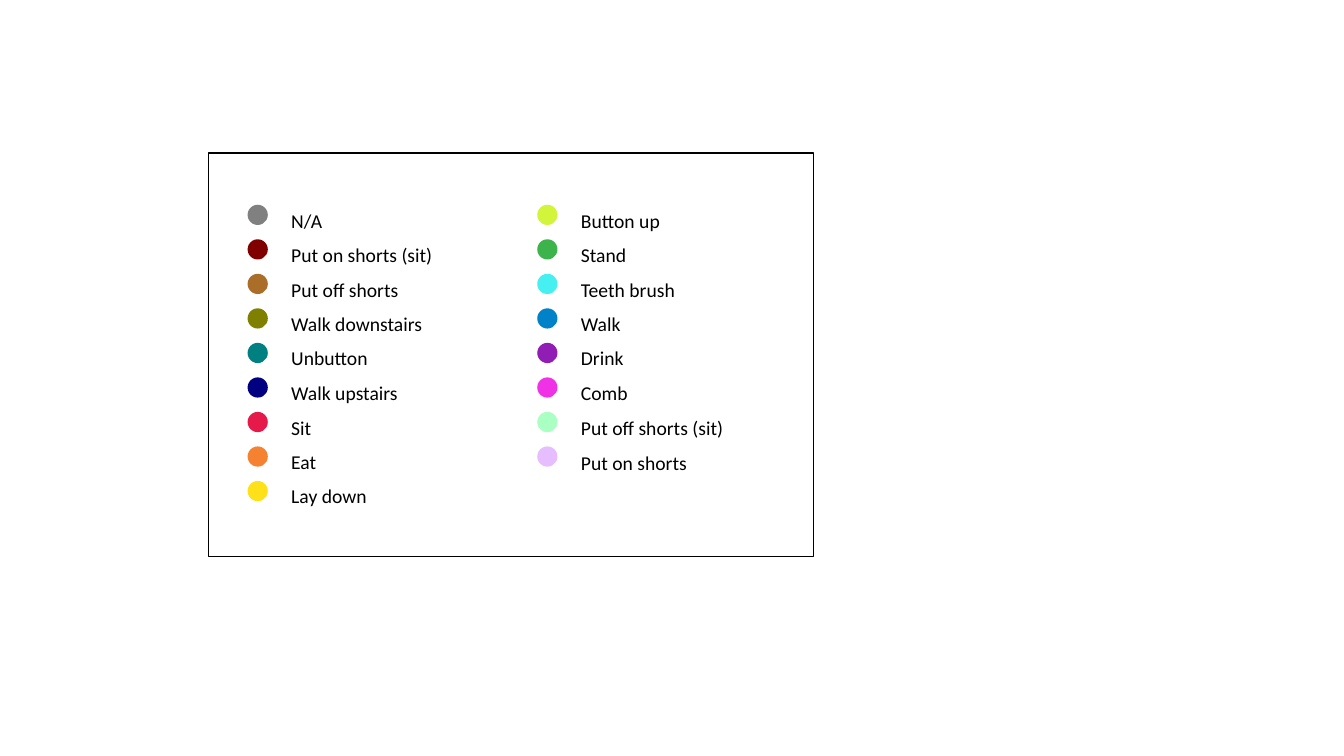
"""Build a slide with a two-column colour legend of daily activities."""
from dataclasses import dataclass

from pptx import Presentation
from pptx.dml.color import RGBColor
from pptx.enum.shapes import MSO_SHAPE
from pptx.enum.text import MSO_AUTO_SIZE
from pptx.util import Cm, Pt

RECTANGLE = MSO_SHAPE.RECTANGLE
OVAL = MSO_SHAPE.OVAL
FIT_SHAPE = MSO_AUTO_SIZE.SHAPE_TO_FIT_TEXT

LEGEND_COLUMNS = [
    [
        ("N/A", "808080"),
        ("Put on shorts (sit)", "800000"),
        ("Put off shorts", "AA6E28"),
        ("Walk downstairs", "808000"),
        ("Unbutton", "008080"),
        ("Walk upstairs", "000080"),
        ("Sit", "E6194B"),
        ("Eat", "F58230"),
        ("Lay down", "FFE119"),
    ],
    [
        ("Button up", "D2F53C"),
        ("Stand", "3CB44B"),
        ("Teeth brush", "46F0F0"),
        ("Walk", "0082C8"),
        ("Drink", "911EB4"),
        ("Comb", "F032E6"),
        ("Put off shorts (sit)", "AAFFC3"),
        ("Put on shorts", "E6BEFF"),
    ],
]
LOOSE_LABELS = {"Walk upstairs", "Sit", "Comb", "Put off shorts (sit)", "Put on shorts"}


@dataclass(frozen=True)
class Theme:
    font: str = "Calibri"
    text_size: float = 14
    line_spacing: float = 24.4
    loose_spacing: float = 25
    border_width: float = 1
    ink: str = "000000"
    paper: str = "FFFFFF"


THEME = Theme()
FRAME = (5.26, 3.86, 15.24, 10.16)
DOT_LEFT, DOT_TOP, DOT_SIZE = 6.24, 5.16, 0.51
ROW_PITCH, COLUMN_PITCH = 0.87, 7.3
LABEL_LEFT, LABEL_TOP, LABEL_WIDTH = 7.09, 4.88, 5.46


def add_filled_shape(slide, kind, box, color):
    shape = slide.shapes.add_shape(kind, *map(Cm, box))
    shape.shadow.inherit = False
    shape.fill.solid()
    shape.fill.fore_color.rgb = RGBColor.from_string(color)
    shape.line.fill.background()
    return shape


def add_frame(slide):
    frame = add_filled_shape(slide, RECTANGLE, FRAME, THEME.paper)
    frame.line.color.rgb = RGBColor.from_string(THEME.ink)
    frame.line.width = Pt(THEME.border_width)


def add_labels(slide, left, labels):
    height = ROW_PITCH * len(labels)
    box = slide.shapes.add_textbox(Cm(left), Cm(LABEL_TOP), Cm(LABEL_WIDTH), Cm(height))
    text_frame = box.text_frame
    text_frame.word_wrap = True
    text_frame.auto_size = FIT_SHAPE
    text_frame.text = "\n".join(labels)
    for label, paragraph in zip(labels, text_frame.paragraphs):
        spacing = THEME.loose_spacing if label in LOOSE_LABELS else THEME.line_spacing
        paragraph.line_spacing = Pt(spacing)
        paragraph.font.name = THEME.font
        paragraph.font.size = Pt(THEME.text_size)
        paragraph.font.color.rgb = RGBColor.from_string(THEME.ink)


def main():
    presentation = Presentation()
    presentation.slide_width, presentation.slide_height = Cm(33.87), Cm(19.05)
    slide = presentation.slides.add_slide(presentation.slide_layouts[6])
    add_frame(slide)
    for column, entries in enumerate(LEGEND_COLUMNS):
        offset = column * COLUMN_PITCH
        for row, (_, color) in enumerate(entries):
            box = (DOT_LEFT + offset, DOT_TOP + row * ROW_PITCH, DOT_SIZE, DOT_SIZE)
            add_filled_shape(slide, OVAL, box, color)
        add_labels(slide, LABEL_LEFT + offset, [label for label, _ in entries])
    presentation.save("out.pptx")


if __name__ == "__main__":
    main()
